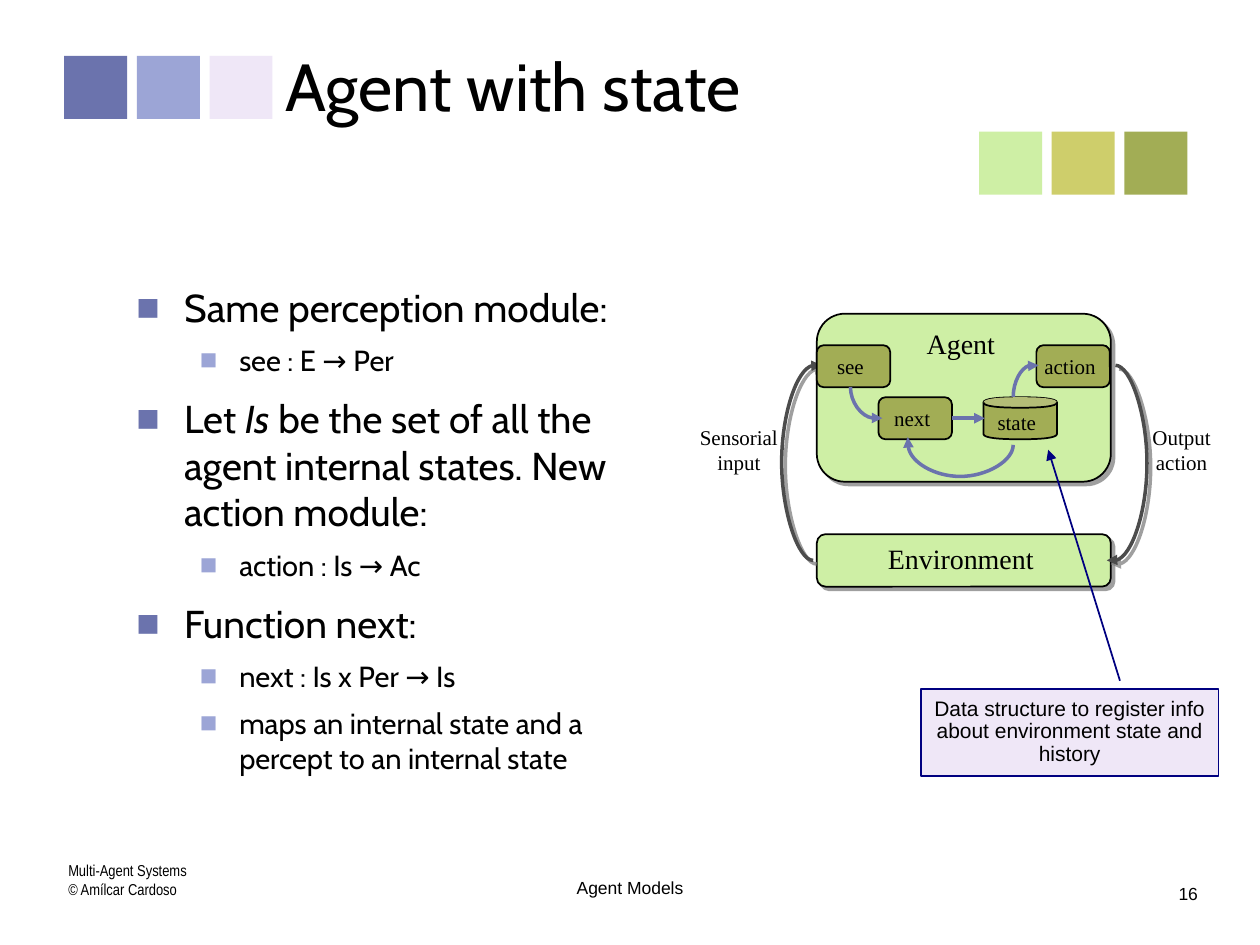
from lxml import etree
from pptx import Presentation
from pptx.dml.color import RGBColor
from pptx.enum.shapes import MSO_CONNECTOR, MSO_SHAPE
from pptx.enum.text import MSO_ANCHOR, MSO_AUTO_SIZE, PP_ALIGN
from pptx.oxml.ns import qn
from pptx.util import Pt

LEFT, CENTER = PP_ALIGN.LEFT, PP_ALIGN.CENTER
TOP, MIDDLE = MSO_ANCHOR.TOP, MSO_ANCHOR.MIDDLE
NO_AUTOFIT = MSO_AUTO_SIZE.NONE
RECTANGLE, ROUNDED = MSO_SHAPE.RECTANGLE, MSO_SHAPE.ROUNDED_RECTANGLE
STRAIGHT = MSO_CONNECTOR.STRAIGHT

BLACK = RGBColor(0x00, 0x00, 0x00)
GRAY = RGBColor(0x4C, 0x4C, 0x4C)
NAVY = RGBColor(0x00, 0x00, 0x80)
INDIGO = RGBColor(0x6B, 0x73, 0xAD)
PERIWINKLE = RGBColor(0x9C, 0xA5, 0xD6)
LAVENDER = RGBColor(0xEF, 0xE7, 0xF7)
LIGHT_GREEN = RGBColor(0xCE, 0xEF, 0xA5)
MUSTARD = RGBColor(0xCE, 0xCE, 0x6B)
OLIVE = RGBColor(0xA2, 0xAD, 0x55)
LID_OLIVE = RGBColor(0xB4, 0xBD, 0x77)
SHADOW_GRAY = RGBColor(0x80, 0x80, 0x80)

SERIF, SANS, NARROW, CABIN = "Times New Roman", "Arial", "Arial Narrow", "Cabin"

BODY = [
    (0, ["Same perception module:"]),
    (1, ["see : E → Per"]),
    (0, ["Let ", "Is", " be the set of all the agent internal states. New action module:"]),
    (1, ["action : Is → Ac"]),
    (0, ["Function next:"]),
    (1, ["next : Is x Per → Is"]),
    (1, ["maps an internal state and a percept to an internal state"]),
]
# size, space before, left margin, hanging indent, bullet colour
BODY_LEVELS = [(22.2, 10, 30.5, 27.25, INDIGO), (16.6, 7, 62, 22.5, PERIWINKLE)]


def write_text(frame, text, size=12, font=SERIF, align=CENTER, anchor=MIDDLE,
               insets=(0, 0, 0, 0), wrap=True, line_spacing=None):
    """Fill the frame, one paragraph per line of text."""
    frame.word_wrap = wrap
    frame.auto_size = NO_AUTOFIT
    frame.vertical_anchor = anchor
    (frame.margin_left, frame.margin_top,
     frame.margin_right, frame.margin_bottom) = map(Pt, insets)
    for index, line in enumerate(text.split("\n")):
        paragraph = frame.paragraphs[0] if index == 0 else frame.add_paragraph()
        paragraph.alignment = align
        paragraph.line_spacing = line_spacing
        format_run(paragraph.add_run(), line, size, font)


def format_run(run, text, size, font, italic=None):
    run.text = text
    run.font.size = Pt(size)
    run.font.name = font
    run.font.italic = italic
    run.font.color.rgb = BLACK


def add_label(slide, box, text, **text_format):
    shape = slide.shapes.add_textbox(*map(Pt, box))
    write_text(shape.text_frame, text, **text_format)


def style_shape(shape, fill=None, line=None, width=1, shadow=False):
    if fill is None:
        shape.fill.background()
    else:
        shape.fill.solid()
        shape.fill.fore_color.rgb = fill
    if line is None:
        shape.line.fill.background()
    else:
        shape.line.color.rgb = line
        shape.line.width = Pt(width)
    shape.shadow.inherit = False
    if shadow:
        effects = shape._element.spPr.find(qn("a:effectLst"))
        outer = etree.SubElement(effects, qn("a:outerShdw"), blurRad="0", dist=str(Pt(3)),
                                 dir="2700000", algn="ctr", rotWithShape="0")
        color = etree.SubElement(outer, qn("a:srgbClr"), val=str(SHADOW_GRAY))
        etree.SubElement(color, qn("a:alpha"), val="75000")


def add_box(slide, kind, box, fill, line=None, shadow=False):
    shape = slide.shapes.add_shape(kind, *map(Pt, box))
    style_shape(shape, fill, line, shadow=shadow)
    return shape


def add_arrowhead(arrow):
    etree.SubElement(arrow.line._get_or_add_ln(), qn("a:tailEnd"), type="triangle")


def add_straight_arrow(slide, start, end, color, width):
    arrow = slide.shapes.add_connector(STRAIGHT, *map(Pt, start + end))
    arrow.line.color.rgb = color
    arrow.line.width = Pt(width)
    add_arrowhead(arrow)
    etree.SubElement(arrow._element.spPr, qn("a:effectLst"))
    return arrow


def add_curve(slide, origin, start, segments, close=False, **style):
    """Draw from start; a segment of three points is a cubic curve, of one a line."""
    points = [(Pt(origin[0] + x), Pt(origin[1] + y))
              for x, y in [start] + [point for segment in segments for point in segment]]
    builder = slide.shapes.build_freeform(*points[0])
    builder.add_line_segments(points[1:], close=close)
    shape = builder.convert_to_shape()
    lines = iter(list(shape._element.spPr.iter(qn("a:lnTo"))))
    for segment in segments:
        first, *others = [next(lines) for _ in segment]
        if others:
            first.tag = qn("a:cubicBezTo")
        for other in others:
            first.append(other[0])
            other.getparent().remove(other)
    style_shape(shape, **style)
    return shape


def add_curved_arrow(slide, origin, points, color, shadow=False):
    """Draw curves through points (start, then threes), then a straight tip."""
    segments = [points[index:index + 3] for index in range(1, len(points), 3)]
    arrow = add_curve(slide, origin, points[0], segments, line=color, width=2, shadow=shadow)
    add_arrowhead(arrow)


def add_cylinder(slide, box, lid):
    """Draw a can whose lid is an ellipse of the given height."""
    left, top, width, height = box
    origin, middle, rim, bend = (left, top), width / 2, lid / 2, 0.22
    near, far = width * bend, width * (1 - bend)
    lid_left = [(near, 0), (0, rim * bend), (0, rim)]
    lid_right = [(width, rim * bend), (far, 0), (middle, 0)]

    def lower_rim(y):
        return [[(0, y + rim * (1 - bend)), (near, y + rim), (middle, y + rim)],
                [(far, y + rim), (width, y + rim * (1 - bend)), (width, y)]]

    add_curve(slide, origin, (middle, 0),
              [lid_left, [(0, height - rim)], *lower_rim(height - rim), [(width, rim)], lid_right],
              close=True, fill=OLIVE, line=BLACK)
    add_curve(slide, origin, (middle, 0), [lid_left, *lower_rim(rim), lid_right],
              close=True, fill=LID_OLIVE)
    add_curve(slide, origin, (0, rim), lower_rim(rim), line=BLACK)


def add_squares(slide, left, top, colors):
    for index, color in enumerate(colors):
        add_box(slide, RECTANGLE, (left + index * 41.5, top, 36, 36), color)


def add_title(slide, box):
    title = slide.shapes.title
    title.left, title.top, title.width, title.height = map(Pt, box)
    write_text(title.text_frame, "Agent with state", size=38, font=CABIN, align=LEFT,
               anchor=TOP, insets=(7.5, 4.25, 10, 4.5))


def add_body(slide, box):
    frame = slide.shapes.add_textbox(*map(Pt, box)).text_frame
    frame.word_wrap = True
    frame.vertical_anchor = MIDDLE
    frame.margin_left = frame.margin_top = frame.margin_bottom = Pt(4.5)
    frame.margin_right = Pt(10)
    for index, (level, parts) in enumerate(BODY):
        size, space, margin, hanging, bullet_color = BODY_LEVELS[level]
        paragraph = frame.paragraphs[0] if index == 0 else frame.add_paragraph()
        paragraph.level = level
        paragraph.space_before = Pt(space)
        for part in parts:
            format_run(paragraph.add_run(), part, size, CABIN, italic=part == "Is")
        properties = paragraph._p.get_or_add_pPr()
        properties.set("marL", str(Pt(margin)))
        properties.set("indent", str(-Pt(hanging)))
        color = etree.SubElement(properties, qn("a:buClr"))
        etree.SubElement(color, qn("a:srgbClr"), val=str(bullet_color))
        etree.SubElement(properties, qn("a:buFont"), typeface=SANS)
        etree.SubElement(properties, qn("a:buChar"), char="■")


def add_agent_diagram(slide, left, top):
    origin = (left, top)

    def add_node(x, y, width, height, text, fill=OLIVE, shadow=False, **text_format):
        node = add_box(slide, ROUNDED, (left + x, top + y, width, height), fill, BLACK, shadow)
        write_text(node.text_frame, text, wrap=False, **{"insets": (3, 0, 6.5, 0), **text_format})
        return node

    add_node(0, 0, 168, 96, "Agent", LIGHT_GREEN, True, size=16, anchor=TOP,
             insets=(3, 2.5, 6.5, 0))
    add_node(0, 126, 168, 30, "Environment", LIGHT_GREEN, True, size=16, insets=(3, 0, 6.5, 2))

    output = [(170.7, 29.5), (179.3, 29.5), (188.7, 57.6), (188.7, 85.5),
              (188.7, 113), (179.3, 141), (170, 141), (165.7, 141)]
    half_turn = [(168.6 - x, 170.5 - y) for x, y in output]
    for points in (output, half_turn):
        add_curved_arrow(slide, origin, points, GRAY, shadow=True)
    add_label(slide, (left - 70, top + 63, 51, 29), "Sensorial\ninput", wrap=False)
    add_label(slide, (left + 189.25, top + 63, 38.5, 29), "Output\naction", wrap=False)

    add_node(0, 18, 42, 24, "see")
    add_node(125.5, 18, 42, 24, "action")
    next_node = add_node(35.25, 47.75, 42, 24, "next")
    add_cylinder(slide, (left + 95.25, top + 47.75, 42, 24), 6)
    add_label(slide, (left + 98.25, top + 52, 32, 20), "state", wrap=False)
    arrow = add_straight_arrow(slide, (left + 77.25, top + 59.75), (left + 96, top + 59.75),
                               INDIGO, 2)
    arrow.begin_connect(next_node, 3)

    see_to_next = [(19.25, 42), (19.25, 50.5), (26, 59.75), (33, 59.75), (37.5, 59.75)]
    state_to_next = [(112.25, 75), (112.25, 84), (97.25, 93), (82, 93),
                     (67, 93), (52.25, 84), (52.25, 75), (52, 70.5)]
    state_to_action = [(112.25, 47.5), (112.25, 39), (117.5, 29.5), (122.5, 29.5), (126.75, 29.5)]
    for points in (see_to_next, state_to_next, state_to_action):
        add_curved_arrow(slide, origin, points, INDIGO)


def add_callout(slide, box, start, end):
    note = add_box(slide, RECTANGLE, box, LAVENDER, NAVY)
    write_text(note.text_frame,
               "Data structure to register info about environment state and history",
               font=SANS, insets=(3, 0, 3, 0), line_spacing=0.9)
    add_straight_arrow(slide, start, end, NAVY, 1)


def add_footer(slide, top):
    add_label(slide, (36, top, 168, 38), "Multi-Agent Systems\n© Amílcar Cardoso", size=9,
              font=NARROW, align=LEFT, anchor=TOP, insets=(3, 0, 3, 0))
    for box, text, inset in (((246, top + 9, 228, 18.5), "Agent Models", 0),
                             ((669, top + 9, 20, 18.5), "16", 3.6)):
        add_label(slide, box, text, size=10, font=SANS, anchor=TOP, insets=(0, inset, 0, inset))


def main():
    presentation = Presentation()
    presentation.slide_width, presentation.slide_height = Pt(720), Pt(540)
    slide = presentation.slides.add_slide(presentation.slide_layouts[5])
    add_squares(slide, 36.75, 32, (INDIGO, PERIWINKLE, LAVENDER))
    add_squares(slide, 559.5, 75.25, (LIGHT_GREEN, MUSTARD, OLIVE))
    add_footer(slide, 492)
    add_title(slide, (155.5, 21.5, 528.5, 104.5))
    add_body(slide, (70.25, 126, 308, 353))
    add_agent_diagram(slide, 466.75, 179.25)
    add_callout(slide, (526.25, 393.5, 170, 49.75), (640, 389), (599, 257))
    presentation.save("out.pptx")


if __name__ == "__main__":
    main()
